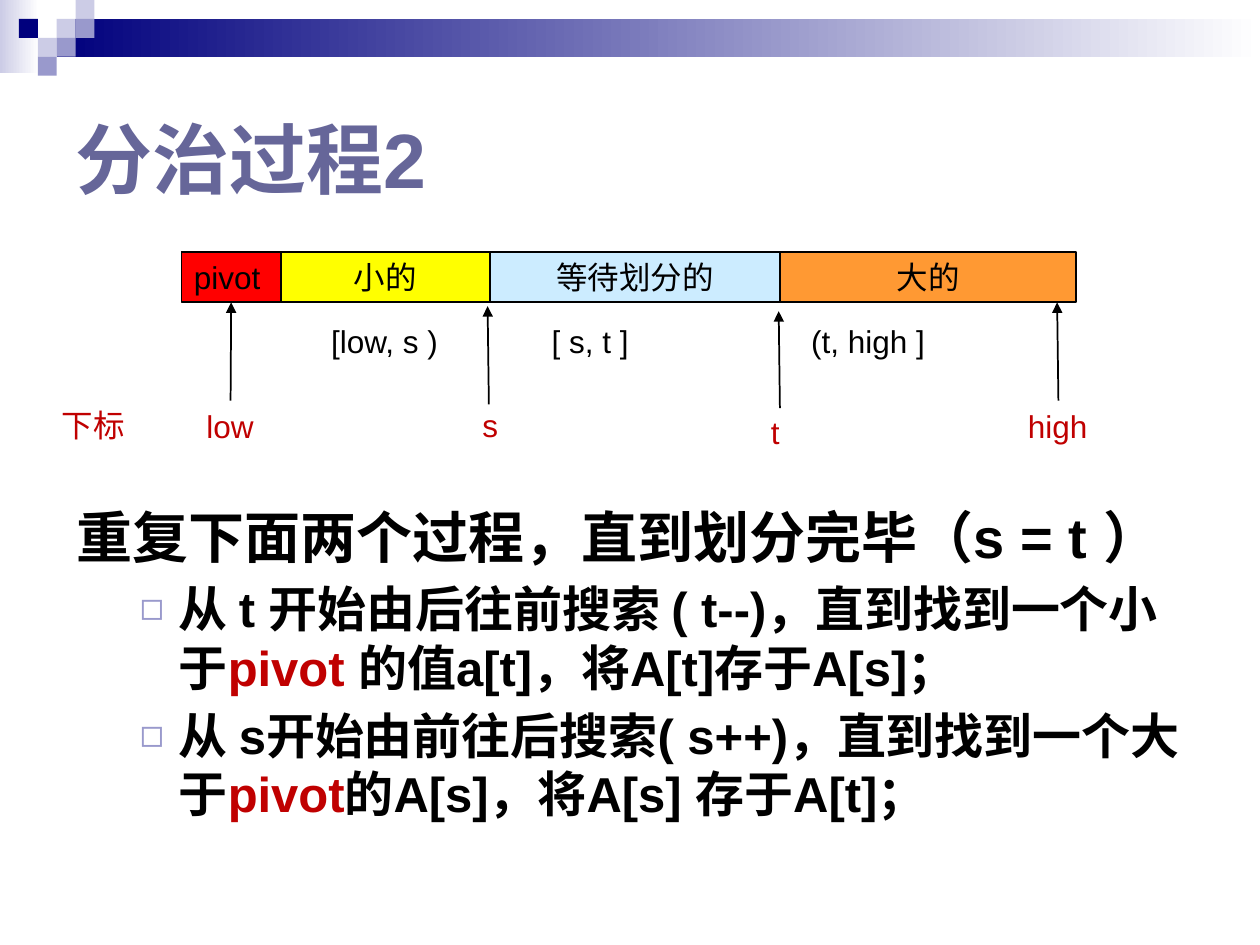
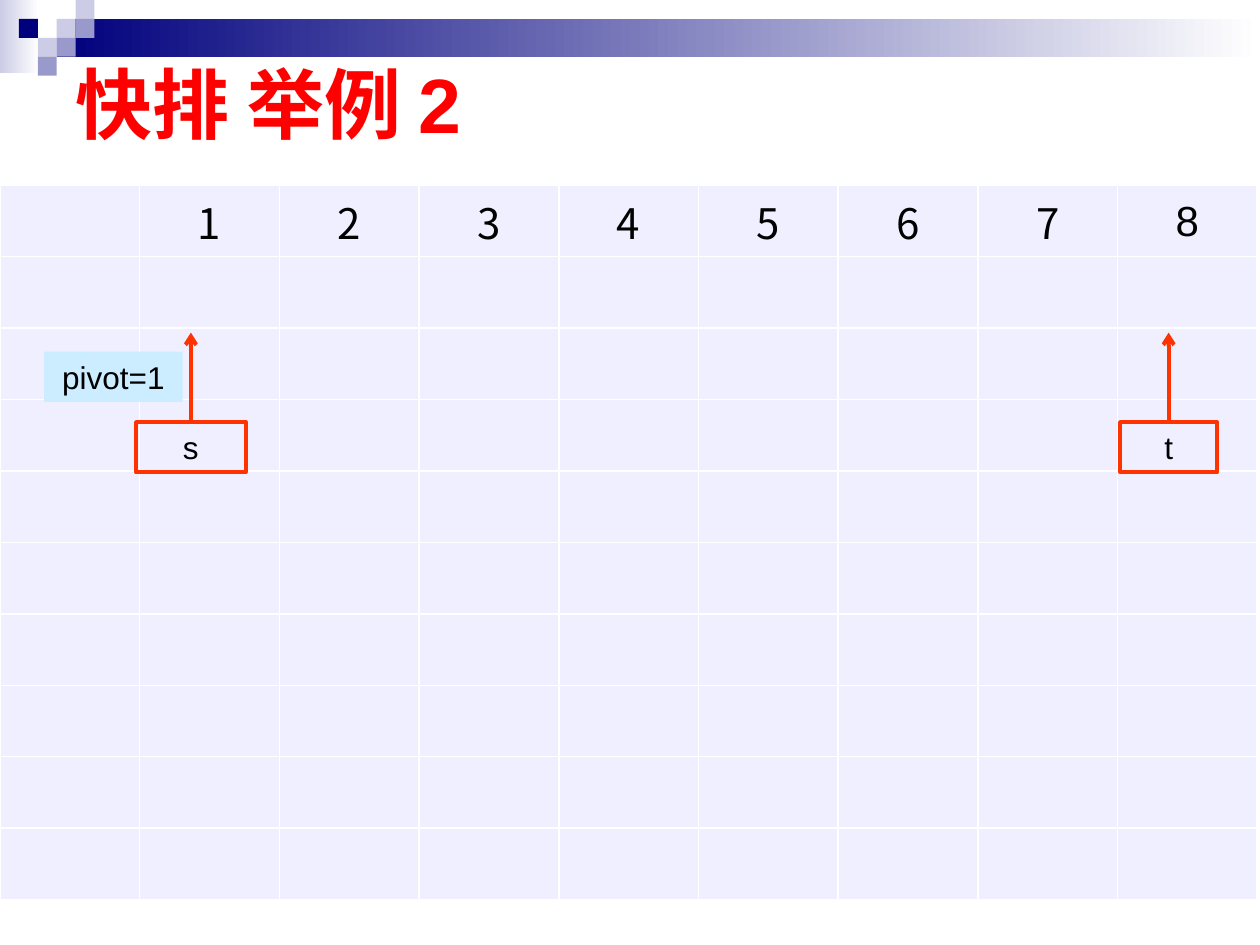
from itertools import accumulate

from lxml import etree
from pptx import Presentation
from pptx.dml.color import RGBColor
from pptx.enum.shapes import MSO_CONNECTOR, MSO_SHAPE
from pptx.enum.text import MSO_ANCHOR, MSO_AUTO_SIZE as FIT, PP_ALIGN
from pptx.oxml.ns import qn
from pptx.util import Inches, Pt

BLACK = RGBColor(0, 0, 0)
WHITE = RGBColor(0xFF, 0xFF, 0xFF)
NAVY = RGBColor(0, 0, 0x7D)
PALE = RGBColor(0xCC, 0xCC, 0xE6)
LILAC = RGBColor(0x99, 0x99, 0xCC)
VIOLET = RGBColor(0x99, 0x99, 0xFF)
SLATE = RGBColor(0x66, 0x66, 0x99)
RED = RGBColor(0xFF, 0, 0)
DARK_RED = RGBColor(0xC0, 0, 0)
YELLOW = RGBColor(0xFF, 0xFF, 0)
SKY = RGBColor(0xCC, 0xEC, 0xFF)
ORANGE = RGBColor(0xFF, 0x99, 0x33)
VERMILION = RGBColor(0xFF, 0x33, 0)
CELL = RGBColor(0xEF, 0xEF, 0xFF)

LATIN = "Arial"
CJK = "Noto Sans CJK SC"
SQUARE = 0.15
SQUARES = [(3, 1, PALE), (4, 0, PALE), (4, 1, LILAC), (2, 2, PALE),
           (1, 1, NAVY), (3, 2, LILAC), (2, 3, LILAC)]


def box(*lengths):
    return [Inches(n) for n in lengths]


def sub(parent, tag, **attrs):
    el = etree.SubElement(parent, qn(tag))
    for key, value in attrs.items():
        el.set(key, str(value))
    return el


class Deck:
    def __init__(self):
        self.prs = Presentation()
        self.prs.slide_width, self.prs.slide_height = box(10, 7.5)

    def slide(self, layout, title, color, *at):
        self.s = self.prs.slides.add_slide(self.prs.slide_layouts[layout])
        self.gradient(PALE, 0, 0, 0.31, 0.58)
        self.gradient(NAVY, 0.45, 0.15, 9.55, 0.3)
        for col, row, fill in SQUARES:
            self.rect(col * SQUARE, row * SQUARE, SQUARE, SQUARE, fill)
        tf = self.placeholder(self.s.shapes.title, *at)
        tf.vertical_anchor = MSO_ANCHOR.MIDDLE
        tf.text = title
        tf.paragraphs[0].alignment = PP_ALIGN.LEFT
        self.font(tf.paragraphs[0].runs[0], 44, color, bold=True)

    def placeholder(self, sp, *at):
        self.s.shapes._spTree.append(sp._element)
        sp.left, sp.top, sp.width, sp.height = box(*at)
        sp.text_frame.auto_size = FIT.NONE
        return sp.text_frame

    def font(self, r, size, color=BLACK, bold=False, name=LATIN):
        r.font.name, r.font.size, r.font.bold = name, Pt(size), bold
        r.font.color.rgb = color
        sub(r._r.get_or_add_rPr(), "a:ea", typeface=CJK)

    def rect(self, x, y, w, h, fill=None, line=None, weight=1):
        sp = self.s.shapes.add_shape(MSO_SHAPE.RECTANGLE, *box(x, y, w, h))
        sp.shadow.inherit = False
        if fill is None:
            sp.fill.background()
        else:
            sp.fill.solid()
            sp.fill.fore_color.rgb = fill
        if line is None:
            sp.line.fill.background()
        else:
            sp.line.color.rgb = line
            sp.line.width = Pt(weight)
        return sp

    def gradient(self, start, *at):
        fill = self.rect(*at).fill
        fill.gradient()
        fill.gradient_angle = 0
        for stop, color in zip(fill.gradient_stops, (start, WHITE)):
            stop.color.rgb = color

    def caption(self, sp, text, color=BLACK, align=PP_ALIGN.CENTER, wrap=True):
        tf = sp.text_frame
        tf.word_wrap, tf.auto_size = wrap, FIT.SHAPE_TO_FIT_TEXT
        tf.text = text
        p = tf.paragraphs[0]
        p.alignment = align
        for r in p.runs:
            self.font(r, 18, color)
        return sp

    def label(self, text, x, y, w, color=BLACK, wrap=False):
        sp = self.s.shapes.add_textbox(*box(x, y, w, 0.4))
        return self.caption(sp, text, color, PP_ALIGN.LEFT, wrap)

    def tabs(self, sp, *stops):
        pPr = sp.text_frame.paragraphs[0]._p.get_or_add_pPr()
        tabs = sub(pPr, "a:tabLst")
        for stop in stops:
            sub(tabs, "a:tab", pos=Inches(stop), algn="l")

    def arrow(self, x1, y1, x2, y2, color=BLACK, weight=1, head="triangle",
              begin=None, end=None):
        cx = self.s.shapes.add_connector(MSO_CONNECTOR.STRAIGHT,
                                         *box(x1, y1, x2, y2))
        if begin is not None:
            cx.begin_connect(begin, 0)
        if end is not None:
            cx.end_connect(end, 2)
        cx.line.color.rgb = color
        cx.line.width = Pt(weight)
        sub(cx.line._get_or_add_ln(), "a:tailEnd", type=head)
        sub(cx._element.spPr, "a:effectLst")

    def body(self, heading, items, *at):
        tf = self.placeholder(self.s.placeholders[1], *at)
        p = tf.paragraphs[0]
        p.space_before = Pt(0)
        pPr = p._p.get_or_add_pPr()
        pPr.set("marL", "0")
        pPr.set("indent", "0")
        sub(pPr, "a:buNone")
        self.runs(p, heading, 32)
        for item in items:
            p = tf.add_paragraph()
            p.level = 1
            p.space_before = Pt(5)
            pPr = p._p.get_or_add_pPr()
            pPr.set("marL", str(Inches(0.81)))
            pPr.set("indent", str(Inches(-0.31)))
            sub(sub(pPr, "a:buClr"), "a:srgbClr", val=LILAC)
            sub(pPr, "a:buSzPct", val=80000)
            sub(pPr, "a:buFont", typeface=LATIN)
            sub(pPr, "a:buChar", char="◻")
            self.runs(p, item, 28)

    def runs(self, p, parts, size):
        for text, color in parts:
            r = p.add_run()
            r.text = text
            self.font(r, size, color, bold=True)

    def table(self, header, rows, *at):
        cols = len(header)
        tbl = self.s.shapes.add_table(rows, cols, *box(*at)).table
        for cell in tbl.iter_cells():
            tcPr = cell._tc.get_or_add_tcPr()
            for side in ("a:lnL", "a:lnR", "a:lnT", "a:lnB"):
                ln = sub(tcPr, side, w=Pt(1))
                sub(sub(ln, "a:solidFill"), "a:srgbClr", val=WHITE)
            cell.fill.solid()
            cell.fill.fore_color.rgb = CELL
        for col, text in enumerate(header):
            if not text:
                continue
            cell = tbl.cell(0, col)
            cell.vertical_anchor = MSO_ANCHOR.MIDDLE
            cell.margin_left = cell.margin_right = cell.margin_top = Inches(0.01)
            cell.margin_bottom = 0
            cell.text = text
            p = cell.text_frame.paragraphs[0]
            p.alignment = PP_ALIGN.CENTER
            name = LATIN if col == cols - 1 else CJK
            self.font(p.runs[0], 24, name=name)


def partition_slide(d):
    d.slide(1, "分治过程2", SLATE, 0.5, 0.5, 9, 1.5)
    d.body(
        [("重复下面两个过程，直到划分完毕（s = t ）", BLACK)],
        [[("从 t 开始由后往前搜索 ( t--)，直到找到一个小于", BLACK),
          ("pivot ", DARK_RED),
          ("的值a[t]，将A[t]存于A[s]；", BLACK)],
         [("从 s开始由前往后搜索( s++)，直到找到一个大于", BLACK),
          ("pivot", DARK_RED),
          ("的A[s]，将A[s] 存于A[t]；", BLACK)]],
        0.51, 3.94, 9, 3.38)

    d.rect(1.44, 2, 7.09, 0.39, VIOLET, BLACK)
    parts = [("pivot", 0.79, RED), ("小的", 1.66, YELLOW),
             ("等待划分的", 2.3, SKY), ("大的", 2.35, ORANGE)]
    lefts = accumulate((w for _, w, _ in parts), initial=1.44)
    segments = []
    for x, (text, w, fill) in zip(lefts, parts):
        align = PP_ALIGN.CENTER if segments else PP_ALIGN.LEFT
        sp = d.rect(x, 2, w, 0.4, fill, BLACK)
        segments.append(d.caption(sp, text, align=align))

    d.label("s", 3.73, 3.17, 0.33, DARK_RED)
    high = d.label("high", 8.06, 3.18, 0.68, DARK_RED)
    low = d.label("low", 1.54, 3.18, 0.58, DARK_RED)
    d.label("t", 6.02, 3.23, 0.27, DARK_RED)
    d.label("下标", 0.39, 3.17, 0.71, DARK_RED)
    d.arrow(1.83, 3.18, 1.84, 2.4, begin=low, end=segments[0])
    d.arrow(3.88, 3.21, 3.87, 2.43)
    d.arrow(8.4, 3.18, 8.39, 2.4, begin=high)
    d.arrow(6.19, 3.24, 6.18, 2.47)
    ranges = d.label("[low, s )\t[ s, t ]\t(t, high ]", 2.53, 2.51, 5.63,
                     wrap=True)
    d.tabs(ranges, 1.75, 3.81)


def example_slide(d):
    d.slide(5, "快排 举例 2", RED, 0.5, 0.29, 9, 1.05)
    header = [""] + [str(n) for n in range(1, 9)]
    d.table(header, 10, 0, 1.47, 9.98, 5.67)
    for text, x, w in (("s", 1.08, 0.87), ("t", 8.89, 0.77)):
        sp = d.rect(x, 3.35, w, 0.4, line=VERMILION, weight=2.25)
        d.caption(sp, text)
        mid = x + w / 2
        d.arrow(mid, 3.35, mid, 2.64, VERMILION, 2.25, "arrow", begin=sp)
    d.caption(d.rect(0.35, 2.79, 1.1, 0.4, SKY), "pivot=1")


def main():
    d = Deck()
    partition_slide(d)
    example_slide(d)
    d.prs.save("out.pptx")


if __name__ == "__main__":
    main()
